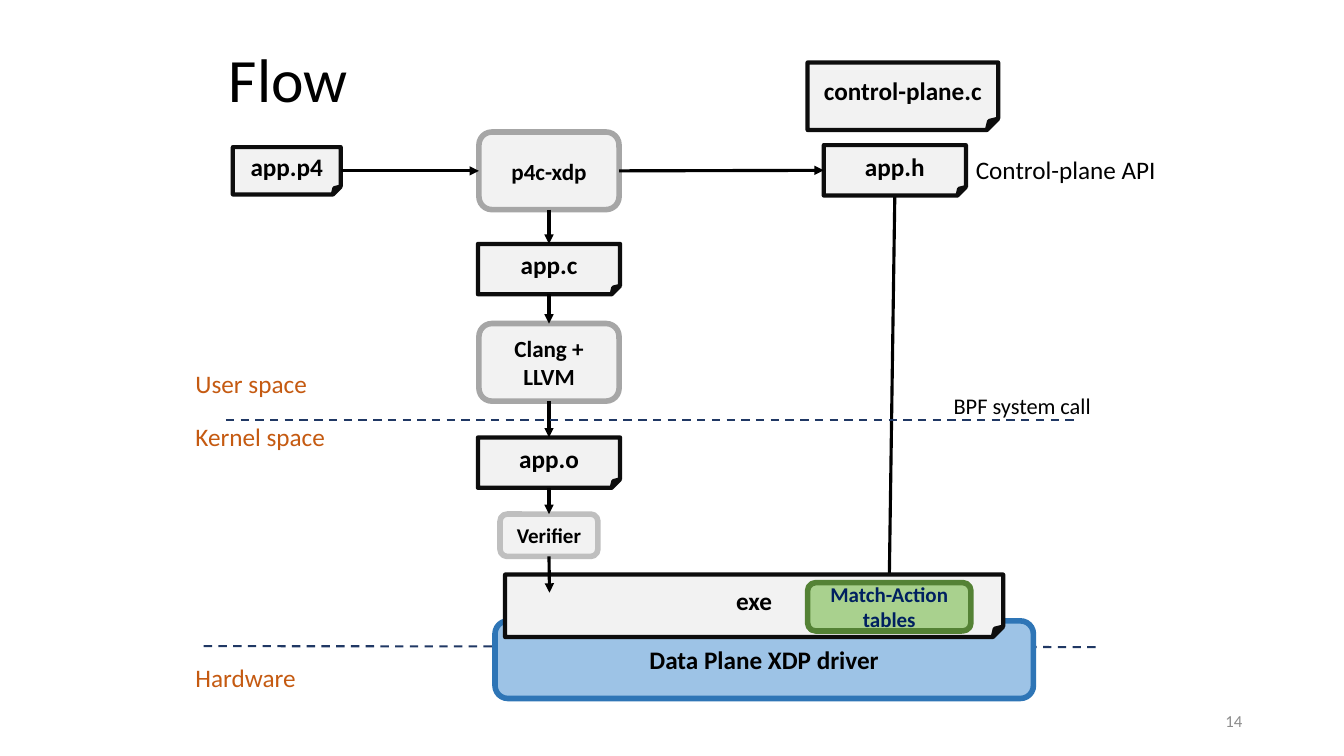
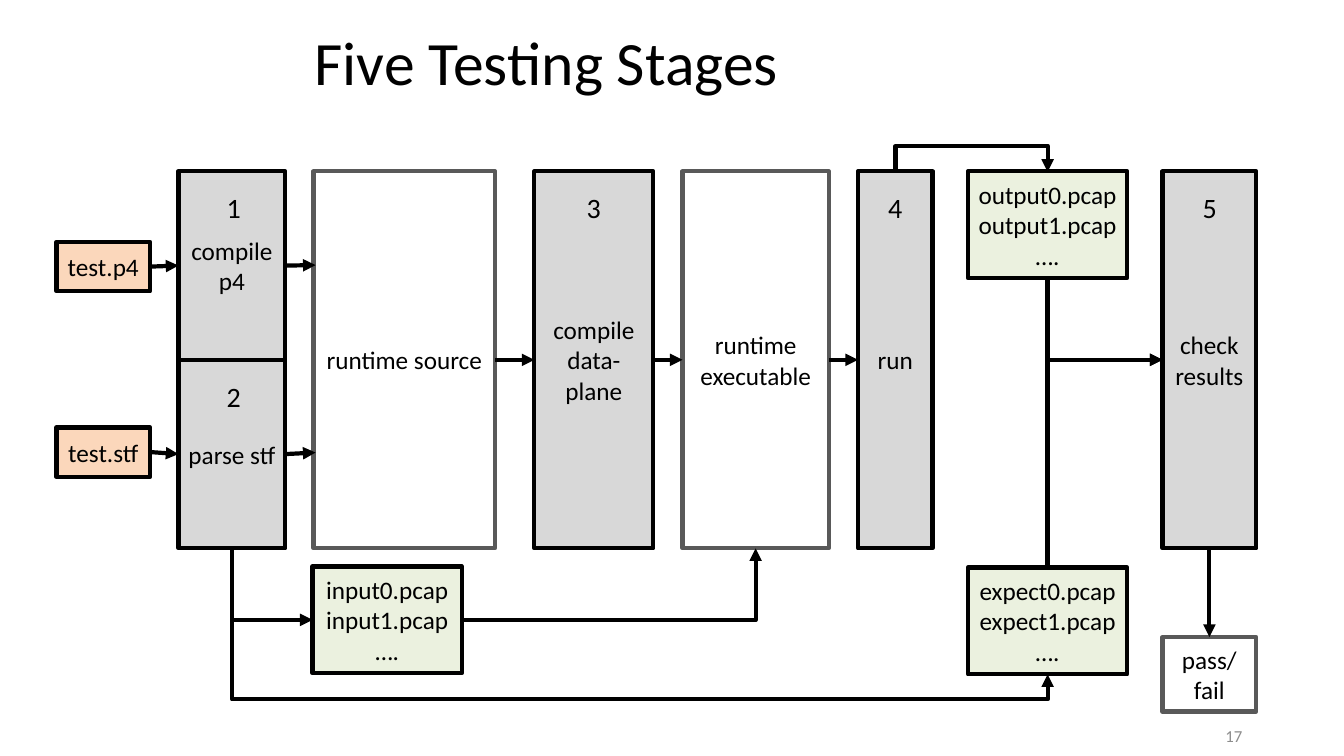
"""Build two slides: a compiler flow and its five testing stages."""
from typing import NamedTuple, Optional, Union

from lxml import etree
from pptx import Presentation
from pptx.dml.color import RGBColor
from pptx.enum.dml import MSO_LINE
from pptx.enum.shapes import MSO_CONNECTOR, MSO_SHAPE
from pptx.enum.text import MSO_ANCHOR, MSO_AUTO_SIZE, PP_ALIGN
from pptx.oxml.ns import qn
from pptx.util import Inches, Pt

FOLD, ROUND, RECT = MSO_SHAPE.FOLDED_CORNER, MSO_SHAPE.ROUNDED_RECTANGLE, MSO_SHAPE.RECTANGLE
STRAIGHT, ELBOW = MSO_CONNECTOR.STRAIGHT, MSO_CONNECTOR.ELBOW
DASH, MIDDLE, NO_FIT = MSO_LINE.DASH, MSO_ANCHOR.MIDDLE, MSO_AUTO_SIZE.NONE
LEFT, CENTER, RIGHT = PP_ALIGN.LEFT, PP_ALIGN.CENTER, PP_ALIGN.RIGHT
TOP, WEST, BASE, EAST = range(4)
FONT = "Calibri"
HUES = {
    "black": "000000", "ink": "0D0D0D", "white": "FFFFFF", "pale": "F2F2F2",
    "mid": "A6A6A6", "soft": "BFBFBF", "sky": "9DC3E6", "blue": "2E75B6",
    "leaf": "A9D18E", "green": "548235", "navy": "002060", "dash": "203864",
    "rust": "C55A11", "page": "8C8C8C", "stage": "D8D8D8", "peach": "FBD7BB",
    "mint": "EBF1DF", "slate": "595959",
}


class Style(NamedTuple):
    fill: str
    edge: str
    weight: float = 3
    form: int = RECT
    size: float = 18
    bold: bool = False
    ink: str = "black"


class Box(NamedTuple):
    key: str
    text: str
    x: float
    y: float
    w: float
    h: float
    style: Style


class Label(NamedTuple):
    text: str
    x: float
    y: float
    w: float
    h: float = 0.4
    size: float = 18
    hue: str = "black"


class Port(NamedTuple):
    key: str
    side: int


class Spot(NamedTuple):
    x: float
    y: float


class Link(NamedTuple):
    start: Union[Port, Spot]
    end: Union[Port, Spot]
    back: bool = False
    dash: bool = False


class Bend(NamedTuple):
    start: Port
    end: Port
    turn: int
    flip: str
    adj: Optional[int] = None


def tint(name: str) -> RGBColor:
    return RGBColor.from_string(HUES[name])


def write(frame, text: str, size: float, hue: str, align: int, bold: bool = False) -> None:
    frame.text = text
    frame.word_wrap = True
    for para in frame.paragraphs:
        para.alignment = align
        para.font.name, para.font.size, para.font.bold = FONT, Pt(size), bold
        para.font.color.rgb = tint(hue)


def start(deck, title: str, page: str, place: tuple, foot: float):
    slide = deck.slides.add_slide(deck.slide_layouts[5])
    head = slide.shapes.title
    head.left, head.top, head.width, head.height = map(Inches, place)
    frame = head.text_frame
    write(frame, title, 44, "black", LEFT)
    frame.auto_size, frame.vertical_anchor = NO_FIT, MIDDLE
    frame.paragraphs[0].line_spacing = 0.9
    note = slide.shapes.add_textbox(*map(Inches, (9.42, foot, 3, 0.4))).text_frame
    write(note, page, 12, "page", RIGHT)
    note.vertical_anchor = MIDDLE
    return slide


def draw_box(slide, box: Box):
    look = box.style
    shape = slide.shapes.add_shape(look.form, *map(Inches, box[2:6]))
    shape.shadow.inherit = False
    shape.fill.solid()
    shape.fill.fore_color.rgb = tint(look.fill)
    shape.line.color.rgb = tint(look.edge)
    shape.line.width = Pt(look.weight)
    frame = shape.text_frame
    write(frame, box.text, look.size, look.ink, CENTER, look.bold)
    frame.vertical_anchor = MIDDLE
    frame.margin_left = frame.margin_right = Inches(0.08)
    return shape


def draw_label(slide, label: Label) -> None:
    area = slide.shapes.add_textbox(*map(Inches, label[1:5]))
    write(area.text_frame, label.text, label.size, label.hue, LEFT)


def locate(end: Union[Port, Spot], boxes: dict) -> tuple:
    if isinstance(end, Spot):
        return Inches(end.x), Inches(end.y)
    box = boxes[end.key]
    fx, fy = ((0.5, 0), (0, 0.5), (0.5, 1), (1, 0.5))[end.side]
    return int(box.left + box.width * fx), int(box.top + box.height * fy)


def draw_link(slide, link: Union[Link, Bend], boxes: dict, weight: float) -> None:
    bent = isinstance(link, Bend)
    dash = not bent and link.dash
    (ax, ay), (bx, by) = locate(link.start, boxes), locate(link.end, boxes)
    wire = slide.shapes.add_connector(ELBOW if bent else STRAIGHT, ax, ay, bx, by)
    if isinstance(link.start, Port):
        wire.begin_connect(boxes[link.start.key], link.start.side)
    if isinstance(link.end, Port):
        wire.end_connect(boxes[link.end.key], link.end.side)
    wire.line.color.rgb = tint("dash" if dash else "black")
    wire.line.width = Pt(1.5 if dash else weight)
    props = wire.element.spPr
    if dash:
        wire.line.dash_style = DASH
    else:
        etree.SubElement(props.find(qn("a:ln")), qn("a:tailEnd"), type="triangle")
    etree.SubElement(props, qn("a:effectLst"))
    if bent:
        shape_bend(wire, link, (ax, ay), (bx, by))
    elif link.back:
        slide.shapes.element.insert(2, wire.element)


def shape_bend(wire, bend: Bend, a: tuple, b: tuple) -> None:
    wide, high = abs(b[0] - a[0]), max(abs(b[1] - a[1]), Inches(0.01))
    if bend.turn:
        wide, high = high, wide
    wire.left, wire.top = (a[0] + b[0] - wide) // 2, (a[1] + b[1] - high) // 2
    wire.width, wire.height = wide, high
    props = wire.element.spPr
    frame = props.find(qn("a:xfrm"))
    frame.set("rot", str(bend.turn * 60000))
    frame.set("flipH", str(int("h" in bend.flip)))
    frame.set("flipV", str(int("v" in bend.flip)))
    geom = props.find(qn("a:prstGeom"))
    geom.set("prst", "bentConnector2" if bend.adj is None else "bentConnector3")
    if bend.adj is not None:
        etree.SubElement(geom.find(qn("a:avLst")), qn("a:gd"), name="adj1", fmla=f"val {bend.adj}")


def fill_slide(slide, boxes: list, labels: list, links: list, weight: float) -> None:
    made = {box.key: draw_box(slide, box) for box in boxes}
    for link in links:
        draw_link(slide, link, made, weight)
    for label in labels:
        draw_label(slide, label)


def add_flow(deck) -> None:
    file = Style("pale", "ink", 3, FOLD, 18, True)
    tool = Style("pale", "mid", 4, ROUND, 16.5, True)
    check = Style("pale", "soft", 4, ROUND, 15, True)
    drive = Style("sky", "blue", 4, ROUND, 18, True)
    table = Style("leaf", "green", 4, ROUND, 15, True, "navy")
    boxes = [
        Box("p4", "app.p4", 2.31, 1.46, 1.07, 0.47, file),
        Box("xdp", "p4c-xdp", 4.75, 1.31, 1.39, 0.77, tool),
        Box("c", "app.c", 4.74, 2.42, 1.41, 0.5, file),
        Box("clang", "Clang + LLVM", 4.75, 3.21, 1.39, 0.77, tool),
        Box("o", "app.o", 4.74, 4.34, 1.41, 0.5, file),
        Box("check", "Verifier", 4.96, 5.1, 0.97, 0.42, check),
        Box("plane", "control-plane.c", 8.01, 0.62, 1.89, 0.67, file),
        Box("h", "app.h", 8.17, 1.44, 1.41, 0.5, file),
        Box("drive", "Data Plane XDP driver", 4.91, 6.16, 5.34, 0.77, drive),
        Box("exe", "exe", 5.01, 5.7, 4.94, 0.62, file),
        Box("table", "Match-Action\ntables", 8.01, 5.78, 1.62, 0.48, table),
    ]
    labels = [
        Label("Control-plane API", 9.58, 1.48, 2.1),
        Label("BPF system call", 9.36, 3.84, 1.7, 0.37, 16),
        Label("User space", 1.84, 3.61, 1.61, hue="rust"),
        Label("Kernel space", 1.84, 4.13, 1.8, hue="rust"),
        Label("Hardware", 1.84, 6.52, 1.4, hue="rust"),
    ]
    chain = ["xdp", "c", "clang", "o", "check"]
    links = [Link(Port(a, BASE), Port(b, TOP)) for a, b in zip(chain, chain[1:])]
    links += [
        Link(Port("p4", EAST), Port("xdp", WEST)),
        Link(Port("xdp", EAST), Port("h", WEST)),
        Link(Port("check", BASE), Spot(5.45, 5.88)),
        Link(Port("h", BASE), Port("table", TOP), back=True),
        Link(Spot(2.24, 4.17), Spot(10.65, 4.17), dash=True),
        Link(Spot(2.02, 6.41), Spot(10.87, 6.42), back=True, dash=True),
    ]
    slide = start(deck, "Flow", "14", (2.17, 0.19, 9, 1.25), 6.95)
    fill_slide(slide, boxes, labels, links, 2.25)


def add_stages(deck) -> None:
    stage, data = Style("stage", "black"), Style("mint", "black")
    test, result = Style("peach", "black"), Style("white", "slate")
    top, half = 1.7, 1.87
    tall = 2 * half
    boxes = [
        Box("p4", "test.p4", 0.56, 2.4, 0.93, 0.49, test),
        Box("stf", "test.stf", 0.56, 4.24, 0.93, 0.49, test),
        Box("one", "compile p4", 1.77, top, 1.06, half, stage),
        Box("two", "parse stf", 1.77, top + half, 1.06, half, stage),
        Box("source", "runtime source", 3.11, top, 1.8, tall, result),
        Box("three", "compile data-plane", 5.3, top, 1.18, tall, stage),
        Box("exe", "runtime executable", 6.77, top, 1.45, tall, result),
        Box("four", "run", 8.51, top, 0.74, tall, stage),
        Box("five", "check results", 11.53, top, 0.93, tall, stage),
        Box("pass", "pass/\nfail", 11.53, 6.32, 0.93, 0.74, result),
    ]
    boxes += [
        Box(key, f"{key}0.pcap\n{key}1.pcap\n….", x, y, w, 1.06, data)
        for key, x, y, w in (
            ("input", 3.1, 5.62, 1.48), ("output", 9.6, top, 1.58), ("expect", 9.6, 5.63, 1.58))
    ]
    labels = [
        Label(text, x, y, 0.34, 0.44, 20)
        for text, x, y in (("1", 2.15, 1.84), ("2", 2.15, 3.72), ("3", 5.72, 1.84),
                           ("4", 8.71, 1.84), ("5", 11.83, 1.84))
    ]
    pairs = [("p4", "one"), ("stf", "two"), ("source", "three"), ("three", "exe"), ("exe", "four")]
    links = [Link(Port(a, EAST), Port(b, WEST)) for a, b in pairs]
    links += [Link(Port(key, EAST), Spot(3.13, y)) for key, y in (("one", 2.63), ("two", 4.49))]
    links += [
        Link(Port("five", BASE), Port("pass", TOP)),
        Bend(Port("four", TOP), Port("output", TOP), 270, "h", -2500000),
        Bend(Port("output", BASE), Port("five", WEST), 270, "h"),
        Bend(Port("expect", TOP), Port("five", WEST), 90, "hv"),
        Bend(Port("input", EAST), Port("exe", BASE), 0, "v"),
        Bend(Port("two", BASE), Port("input", WEST), 270, "h"),
        Bend(Port("two", BASE), Port("expect", BASE), 270, "h", 119800),
    ]
    slide = start(deck, "Five Testing Stages", "17", (3.02, -0.07, 7.09, 1.45), 7.1)
    fill_slide(slide, boxes, labels, links, 3)


def main() -> None:
    deck = Presentation()
    deck.slide_width, deck.slide_height = Inches(13.33), Inches(7.5)
    add_flow(deck)
    add_stages(deck)
    deck.save("out.pptx")


if __name__ == "__main__":
    main()
